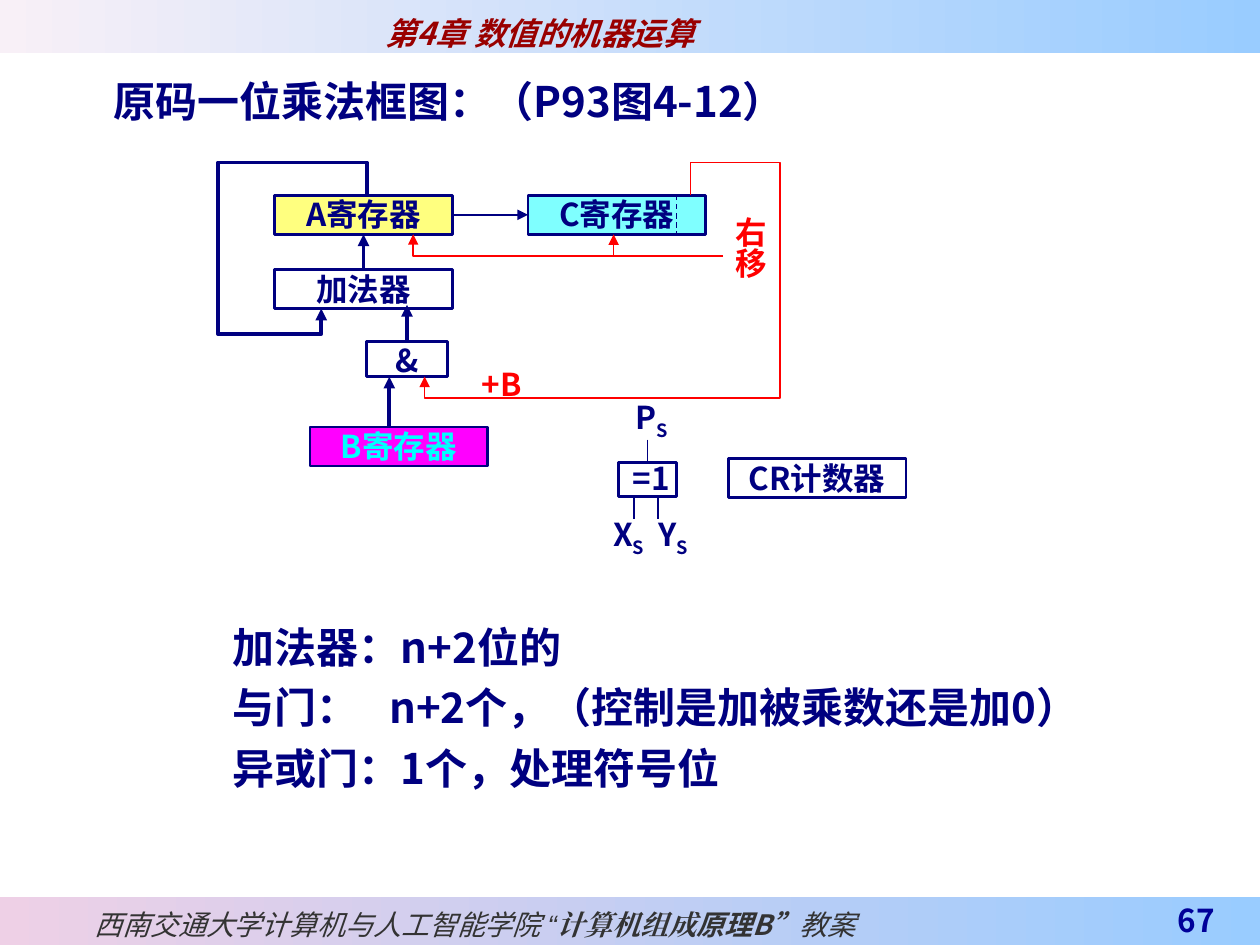
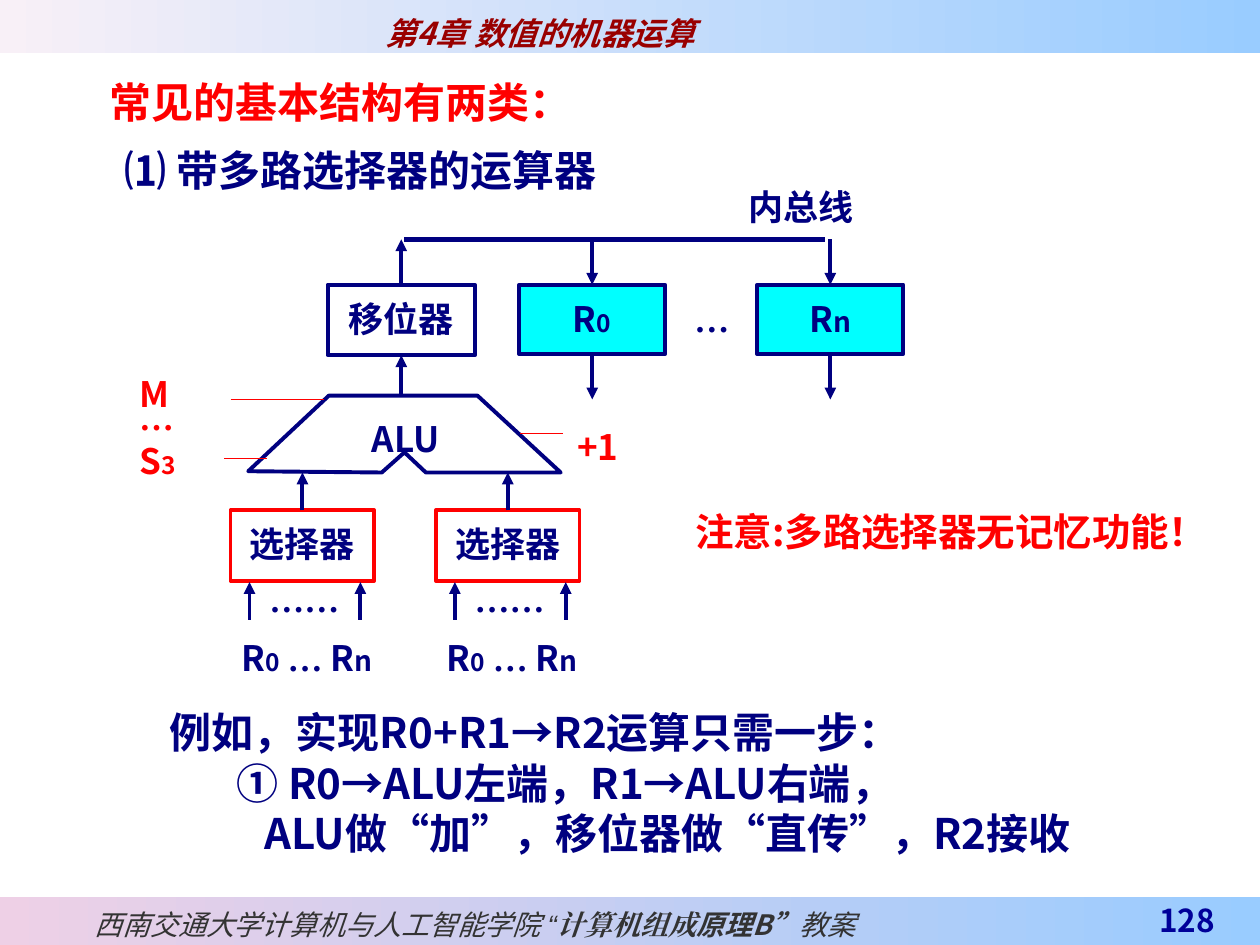
"""Build two lecture slides on multiplier and arithmetic unit block diagrams."""
from dataclasses import dataclass, field
from typing import NamedTuple, Optional, Union

from lxml import etree
from pptx import Presentation
from pptx.dml.color import RGBColor
from pptx.enum.dml import MSO_LINE
from pptx.enum.shapes import MSO_CONNECTOR, MSO_SHAPE
from pptx.enum.text import MSO_ANCHOR, MSO_AUTO_SIZE, PP_ALIGN
from pptx.oxml.ns import qn
from pptx.util import Emu, Inches, Pt

RECTANGLE = MSO_SHAPE.RECTANGLE
STRAIGHT = MSO_CONNECTOR.STRAIGHT
DASH = MSO_LINE.DASH
TOP, MIDDLE, BOTTOM = MSO_ANCHOR.TOP, MSO_ANCHOR.MIDDLE, MSO_ANCHOR.BOTTOM
LEFT, CENTER = PP_ALIGN.LEFT, PP_ALIGN.CENTER
RIGHT, JUSTIFY = PP_ALIGN.RIGHT, PP_ALIGN.JUSTIFY
SIDE_TOP, SIDE_LEFT, SIDE_BOTTOM, SIDE_RIGHT = range(4)

SLIDE_WIDTH, SLIDE_HEIGHT = Inches(10), Inches(7.5)
COLUMNS, ROWS = 100, 75


@dataclass(frozen=True)
class Theme:
    """Colours, fonts and type sizes of the lecture."""
    navy: str = "000080"
    red: str = "FF0000"
    cyan: str = "00FFFF"
    yellow: str = "FFFF00"
    magenta: str = "FF00FF"
    white: str = "FFFFFF"
    chapter: str = "990000"
    footer: str = "333333"
    number: str = "000099"
    band_sky: str = "99CCFF"
    header_pale: str = "F8F0F7"
    footer_pale: str = "EED0E6"
    sans: str = "Noto Sans CJK SC"
    serif: str = "Times New Roman"
    latin: str = "Arial"
    heading: float = 24
    notice: float = 22
    diagram: float = 20
    label: float = 18
    footnote: float = 16
    index: float = 14


THEME = Theme()


class Span(NamedTuple):
    """A stretch of text that may depart from its style."""
    text: str
    size: Optional[float] = None
    font: Optional[str] = None
    bold: bool = True
    baseline: int = 0


class Line(NamedTuple):
    """A paragraph with an indent and a tab stop in columns."""
    spans: tuple[Span, ...]
    indent: float = 0
    tab: float = 0


class Style(NamedTuple):
    """The common format of a text block."""
    size: float
    color: str = THEME.navy
    align: PP_ALIGN = CENTER
    spacing: float = 1.0
    italic: bool = False


class Area(NamedTuple):
    """A rectangle in grid columns and rows."""
    left: float
    top: float
    width: float
    height: float


class Insets(NamedTuple):
    """Text margins in columns and rows."""
    left: float = 0
    top: float = 0
    right: float = 0
    bottom: float = 0


@dataclass(frozen=True)
class Box:
    """A rectangle of the diagram with its caption."""
    area: Area
    lines: list = field(default_factory=list)
    style: Style = Style(THEME.label)
    fill: Optional[str] = None
    opacity: int = 100
    border: str = THEME.navy
    weight: float = 1.5


@dataclass(frozen=True)
class Wire:
    """A straight line, optionally joined to box sides."""
    start: tuple[float, float]
    end: tuple[float, float]
    color: str = THEME.navy
    weight: float = 2.25
    arrow: bool = True
    dashed: bool = False
    source: Optional[tuple] = None
    target: Optional[tuple] = None


PANEL = Insets(1, 0.5, 1, 0.5)
NONE = Insets()
LABEL = Style(THEME.label)
RED_LABEL = Style(THEME.label, THEME.red)
DIAGRAM = Style(THEME.diagram, spacing=1.3)
RED_DIAGRAM = Style(THEME.diagram, THEME.red, LEFT, 1.3)
HEADING = Style(THEME.heading, align=JUSTIFY)
RED_HEADING = HEADING._replace(color=THEME.red)


def column(count: float) -> Emu:
    """Turn grid columns into a length."""
    return Emu(round(SLIDE_WIDTH * count / COLUMNS))


def row(count: float) -> Emu:
    """Turn grid rows into a length."""
    return Emu(round(SLIDE_HEIGHT * count / ROWS))


def place(area: Area) -> tuple[Emu, Emu, Emu, Emu]:
    """Turn an area into left, top, width and height."""
    return column(area.left), row(area.top), column(area.width), row(area.height)


def write(text_frame, lines: list[Union[str, Line]], style: Style,
          insets: Insets = NONE, anchor: MSO_ANCHOR = TOP) -> None:
    """Fill a text frame with formatted paragraphs."""
    text_frame.auto_size = MSO_AUTO_SIZE.NONE
    text_frame.word_wrap = True
    text_frame.vertical_anchor = anchor
    text_frame.margin_left, text_frame.margin_right = column(insets.left), column(insets.right)
    text_frame.margin_top, text_frame.margin_bottom = row(insets.top), row(insets.bottom)
    for position, entry in enumerate(lines):
        line = Line((Span(entry),)) if isinstance(entry, str) else entry
        paragraph = text_frame.add_paragraph() if position else text_frame.paragraphs[0]
        properties = paragraph._p.get_or_add_pPr()
        if line.indent:
            properties.set("marL", str(column(line.indent)))
        if line.tab:
            tabs = etree.SubElement(properties, qn("a:tabLst"))
            etree.SubElement(tabs, qn("a:tab"), pos=str(column(line.tab)), algn="l")
        paragraph.alignment, paragraph.line_spacing = style.align, style.spacing
        paragraph.text = line.spans[0].text
        for span in line.spans[1:]:
            paragraph.add_run().text = span.text
        for run, span in zip(paragraph.runs, line.spans):
            font = run.font
            font.size, font.bold, font.italic = Pt(span.size or style.size), span.bold, style.italic
            font.color.rgb = RGBColor.from_string(style.color)
            font.name = span.font or THEME.sans
            run_properties = run._r.get_or_add_rPr()
            etree.SubElement(run_properties, qn("a:ea"), typeface=font.name)
            if span.baseline:
                run_properties.set("baseline", str(span.baseline * 1000))


def add_text(slide, area: Area, lines: list, style: Style, insets: Insets = NONE,
             anchor: MSO_ANCHOR = TOP, vertical: bool = False) -> None:
    """Add a text box."""
    text_frame = slide.shapes.add_textbox(*place(area)).text_frame
    write(text_frame, lines, style, insets, anchor)
    if vertical:
        text_frame._txBody.bodyPr.set("vert", "eaVert")


def add_band(slide, area: Area, start: str, line: Line, style: Style,
             insets: Insets, anchor: MSO_ANCHOR) -> None:
    """Add a full-width gradient band with text."""
    shape = slide.shapes.add_shape(RECTANGLE, *place(area))
    shape.shadow.inherit = False
    shape.line.fill.background()
    shape.fill.gradient()
    shape.fill.gradient_angle = 0
    for stop, color in zip(shape.fill.gradient_stops, (start, THEME.band_sky)):
        stop.color.rgb = RGBColor.from_string(color)
    write(shape.text_frame, [line], style, insets, anchor)


def add_box(slide, box: Box):
    """Add a diagram box and return its shape."""
    shape = slide.shapes.add_shape(RECTANGLE, *place(box.area))
    shape.shadow.inherit = False
    if box.fill:
        shape.fill.solid()
        shape.fill.fore_color.rgb = RGBColor.from_string(box.fill)
        if box.opacity < 100:
            color = shape._element.spPr.find(f"{qn('a:solidFill')}/{qn('a:srgbClr')}")
            etree.SubElement(color, qn("a:alpha"), val=str(box.opacity * 1000))
    else:
        shape.fill.background()
    set_line(shape, box.border, box.weight)
    write(shape.text_frame, box.lines, box.style)
    return shape


def set_line(shape, color: str, weight: float, arrow: bool = False, dashed: bool = False) -> None:
    """Format an outline or connector line."""
    shape.line.color.rgb = RGBColor.from_string(color)
    shape.line.width = Pt(weight)
    if dashed:
        shape.line.dash_style = DASH
    if arrow:
        etree.SubElement(shape._element.spPr.find(qn("a:ln")), qn("a:tailEnd"), type="triangle")


def add_wire(slide, wire: Wire) -> None:
    """Add a connector and join it where asked."""
    (start_x, start_y), (end_x, end_y) = wire.start, wire.end
    connector = slide.shapes.add_connector(
        STRAIGHT, column(start_x), row(start_y), column(end_x), row(end_y))
    if wire.source:
        connector.begin_connect(*wire.source)
    if wire.target:
        connector.end_connect(*wire.target)
    set_line(connector, wire.color, wire.weight, wire.arrow, wire.dashed)
    etree.SubElement(connector._element.spPr, qn("a:effectLst"))


def add_outline(slide, points: list[tuple[float, float]], color: str, weight: float,
                closed: bool = False) -> None:
    """Add an unfilled polygon, or an open route with an arrowhead."""
    corners = [(column(x), row(y)) for x, y in points]
    builder = slide.shapes.build_freeform(*corners[0])
    builder.add_line_segments(corners[1:], close=closed)
    shape = builder.convert_to_shape()
    shape.shadow.inherit = False
    shape.fill.background()
    set_line(shape, color, weight, arrow=not closed)


def add_lecture_slide(presentation, number: int, title: str, area: Area, style: Style):
    """Add a slide with bands, page number and title."""
    slide = presentation.slides.add_slide(presentation.slide_layouts[5])
    add_band(slide, Area(0, 0, COLUMNS, 4.2), THEME.header_pale,
             Line((Span("第4章 数值的机器运算"),)),
             Style(THEME.label, THEME.chapter, LEFT, 1.2, True), Insets(30.6, 0.5), TOP)
    add_band(slide, Area(0, 71.2, COLUMNS, 3.8), THEME.footer_pale,
             Line((Span("西南交通大学计算机与人工智能学院 ", bold=False),
                   Span("“", font=THEME.latin, bold=False),
                   Span("计算机组成", font=THEME.serif),
                   Span("原理B”"), Span("教案", bold=False))),
             Style(THEME.footnote, THEME.footer, LEFT, 1.2, True), Insets(7.5), MIDDLE)
    add_text(slide, Area(86.6, 71.2, 10.8, 3.8), [str(number)],
             Style(THEME.label, THEME.number, RIGHT, 1.2), Insets(1, 0, 1, 0.5), BOTTOM)
    heading = slide.shapes.title
    heading.left, heading.top, heading.width, heading.height = place(area)
    write(heading.text_frame, [title], style, PANEL)
    return slide


def build_multiplier(presentation) -> None:
    """Draw the one-bit multiplication diagram."""
    slide = add_lecture_slide(presentation, 67, "原码一位乘法框图：（P93图4-12）",
                              Area(8, 5.5, 87.6, 8.6), HEADING)
    add_text(slide, Area(17.5, 48, 82.5, 15.1),
             ["加法器：n+2位的", Line((Span("与门：\tn+2个，（控制是加被乘数还是加0）"),), tab=12.4),
              "异或门：1个，处理符号位"], HEADING._replace(spacing=1.2), PANEL)

    def register(left: float, top: float, name: str, **options):
        """Add a box of register size."""
        return add_box(slide, Box(Area(left, top, 14.1, 3.1), [name], **options))

    accumulator = register(21.8, 15.5, "A寄存器", fill=THEME.yellow, opacity=50)
    multiplier = register(41.9, 15.5, "C寄存器", fill=THEME.cyan, opacity=50)
    register(24.6, 33.9, "B寄存器", fill=THEME.magenta, style=LABEL._replace(color=THEME.cyan))
    adder = register(21.8, 21.4, "加法器")
    register(57.8, 36.4, "CR计数器")
    gate = add_box(slide, Box(Area(29.1, 27.1, 6.4, 2.8), ["&"]))
    exclusive = add_box(slide, Box(Area(49.1, 36.7, 4.6, 2.7), fill=THEME.white))

    add_outline(slide, [(29.1, 15.4), (29.1, 12.9), (17.3, 12.9), (17.3, 26.5),
                        (25.5, 26.5), (25.5, 24.5)], THEME.navy, 2.25)
    add_outline(slide, [(54.8, 15.5), (54.8, 12.9), (61.9, 12.9), (61.9, 31.6),
                        (33.7, 31.6), (33.7, 29.9)], THEME.red, 1)
    add_outline(slide, [(57.4, 20.3), (32.8, 20.3), (32.8, 18.6)], THEME.red, 1)
    for wire in (
        Wire((32.3, 27.1), (32.3, 24.2), source=(gate, SIDE_TOP)),
        Wire((30.9, 33.9), (30.9, 29.9)),
        Wire((28.85, 21.4), (28.85, 18.6), source=(adder, SIDE_TOP),
             target=(accumulator, SIDE_BOTTOM)),
        Wire((53.7, 15.5), (53.7, 18.6), weight=0.75, arrow=False, dashed=True),
        Wire((35.9, 17.05), (41.9, 17.05), weight=1, source=(accumulator, SIDE_RIGHT),
             target=(multiplier, SIDE_LEFT)),
        Wire((48.7, 20.3), (48.7, 18.6), THEME.red, 1),
        Wire((50.3, 39.4), (50.3, 41.2), weight=1, arrow=False),
        Wire((52.2, 39.4), (52.2, 41.2), weight=1, arrow=False),
        Wire((51.4, 34.9), (51.4, 36.7), weight=1, arrow=False, target=(exclusive, SIDE_TOP)),
    ):
        add_wire(slide, wire)
    add_text(slide, Area(56.9, 17.2, 4.1, 5.9), ["右移"], RED_LABEL, vertical=True)
    add_text(slide, Area(33.2, 29, 13.2, 3.1), ["+B"], RED_LABEL)
    add_text(slide, Area(47.4, 36.4, 8.6, 3.4), ["=1"], LABEL)
    for sign, center, top in (("X", 49.9, 40.9), ("Y", 53.45, 40.9), ("P", 51.75, 31.6)):
        add_text(slide, Area(center - 2, top, 4, 3.6),
                 [Line((Span(sign), Span("S", baseline=-25)))], LABEL)


def build_arithmetic_unit(presentation) -> None:
    """Draw the arithmetic unit with multiplexers."""
    slide = add_lecture_slide(presentation, 128, "常见的基本结构有两类：",
                              Area(7.7, 5.6, 92.3, 5), RED_HEADING)
    add_text(slide, Area(8.9, 11, 91.1, 5), ["⑴ 带多路选择器的运算器"], HEADING, PANEL)
    add_text(slide, Area(54.2, 39.8, 44, 8), ["注意:多路选择器无记忆功能！"],
             RED_HEADING._replace(size=THEME.notice), PANEL)
    first = (Span("R"), Span("0", THEME.index))
    last = (Span("R"), Span("n", THEME.footnote))
    dots = Span("…", font=THEME.serif)
    bus = 19

    for left in (18.3, 34.6):
        selector = add_box(slide, Box(Area(left, 40.5, 11.4, 5.6), ["选择器"], DIAGRAM,
                                      border=THEME.red, weight=2.25))
        add_wire(slide, Wire((left + 5.7, 40.5), (left + 5.7, 37.5), source=(selector, SIDE_TOP)))
        for offset in (1.5, 10.3):
            add_wire(slide, Wire((left + offset, 49.2), (left + offset, 46.2)))
        add_text(slide, Area(left + 1.4, 44.8, 8.9, 5.3),
                 [Line((Span("……", font=THEME.serif),))], DIAGRAM)
        add_text(slide, Area(left - 1, 49.5, 14.1, 4.7),
                 [Line((*first, Span(" "), dots, Span(" R"), last[1]))], DIAGRAM)

    add_outline(slide, [(19.7, 37.4), (26.1, 31.4), (37.9, 31.4), (44.5, 37.5), (33.8, 37.5),
                        (32.1, 35.9), (30.3, 37.5)], THEME.navy, 2.25, closed=True)
    shifter = add_box(slide, Box(Area(26, 22.6, 11.7, 5.6), ["移位器"], DIAGRAM, weight=2.25))
    add_wire(slide, Wire((31.85, 31.5), (31.85, 28.2), target=(shifter, SIDE_BOTTOM)))
    add_wire(slide, Wire((31.85, 22.6), (31.85, bus), source=(shifter, SIDE_TOP)))
    add_wire(slide, Wire((32.1, bus), (65.5, bus), weight=3, arrow=False))
    for left, name in ((41.2, first), (60.1, last)):
        register = add_box(slide, Box(Area(left, 22.6, 11.6, 5.5), [Line(name)], DIAGRAM,
                                      THEME.cyan, weight=2.25))
        middle = left + 5.8
        add_wire(slide, Wire((middle, bus), (middle, 22.6), target=(register, SIDE_TOP)))
        add_wire(slide, Wire((middle, 28.1), (middle, 31.7), source=(register, SIDE_BOTTOM)))
    for start, end, level in ((18.3, 25.7, 31.7), (17.8, 21.2, 36.4), (41.3, 44.7, 34.4)):
        add_wire(slide, Wire((start, level), (end, level), THEME.red, 1, arrow=False))

    add_text(slide, Area(53.2, 22.6, 6.6, 5.4), [Line((dots,))], DIAGRAM)
    add_text(slide, Area(26.9, 32.1, 10.6, 4.4), ["ALU"], DIAGRAM)
    add_text(slide, Area(56.5, 13.7, 14.2, 4.9), ["内总线"], DIAGRAM)
    add_text(slide, Area(45.8, 32.8, 10.1, 4.9), ["+1"], RED_DIAGRAM)
    add_text(slide, Area(11.1, 30.2, 7.7, 6.5),
             ["M", "…", Line((Span("S"), Span("3", THEME.index)))],
             RED_DIAGRAM._replace(spacing=0.8))
    add_text(slide, Area(12.5, 55.6, 83.9, 13.1),
             ["例如，实现R0+R1→R2运算只需一步：",
              Line((Span("① R0→ALU左端，R1→ALU右端，"),), indent=5.3),
              Line((Span("ALU做“加”，移位器做“直传”，R2接收"),), indent=7.5)], HEADING, PANEL)


def main() -> None:
    """Build and save the presentation."""
    presentation = Presentation()
    presentation.slide_width, presentation.slide_height = SLIDE_WIDTH, SLIDE_HEIGHT
    build_multiplier(presentation)
    build_arithmetic_unit(presentation)
    presentation.save("out.pptx")


if __name__ == "__main__":
    main()
